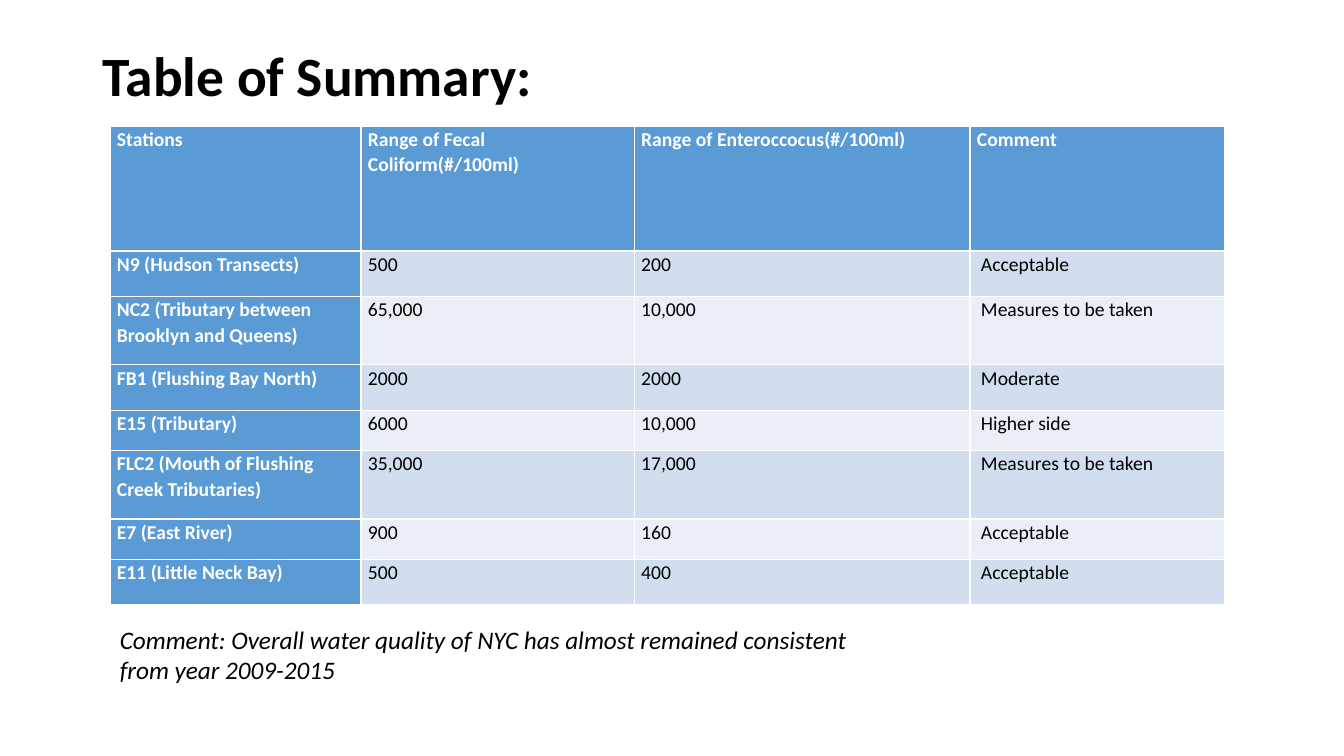
from pptx import Presentation
from pptx.dml.color import RGBColor
from pptx.enum.text import MSO_ANCHOR
from pptx.util import Inches, Pt

TOP, MIDDLE = MSO_ANCHOR.TOP, MSO_ANCHOR.MIDDLE
COLORS = {
    "text": "000000",
    "white": "FFFFFF",
    "header": "5B9BD5",
    "band_dark": "D2DEEF",
    "band_light": "EAEFF7",
}
COLUMN_WIDTHS = [2.49, 2.71, 3.33, 2.53]
ROW_HEIGHTS = [1.24, 0.45, 0.68, 0.45, 0.4, 0.68, 0.4, 0.45]
STATIONS = [
    ["Stations", "Range of Fecal Coliform(#/100ml)", "Range of Enteroccocus(#/100ml)", "Comment"],
    ["N9 (Hudson Transects)", "500", "200", "Acceptable"],
    ["NC2 (Tributary between Brooklyn and Queens)", "65,000", "10,000", "Measures to be taken"],
    ["FB1 (Flushing Bay North)", "2000", "2000", "Moderate"],
    ["E15 (Tributary)", "6000", "10,000", "Higher side"],
    ["FLC2 (Mouth of Flushing Creek Tributaries)", "35,000", "17,000", "Measures to be taken"],
    ["E7 (East River)", "900", "160", "Acceptable"],
    ["E11 (Little Neck Bay)", "500", "400", "Acceptable"],
]


def write(tf, text, size=14, color="text", bold=False, italic=False, spacing=None, font="Calibri"):
    p = tf.paragraphs[0]
    p.line_spacing = spacing
    r = p.add_run()
    r.text = text
    r.font.name = font
    r.font.size = Pt(size)
    r.font.bold = bold
    r.font.italic = italic
    r.font.color.rgb = RGBColor.from_string(COLORS[color])


class SlideBuilder:
    def __init__(self, s):
        self.s = s

    def text(self, text, left, top, width, height, anchor=TOP, **style):
        sp = self.s.shapes.add_textbox(Inches(left), Inches(top), Inches(width), Inches(height))
        tf = sp.text_frame
        tf.word_wrap = True
        tf.vertical_anchor = anchor
        write(tf, text, **style)

    def table(self, rows, left, top, widths, heights):
        frame = self.s.shapes.add_table(
            len(rows), len(widths), Inches(left), Inches(top),
            Inches(sum(widths)), Inches(sum(heights)))
        table = frame.table
        table.first_col = True
        for column, width in zip(table.columns, widths):
            column.width = Inches(width)
        for i, (row, height) in enumerate(zip(rows, heights)):
            table.rows[i].height = Inches(height)
            for j, text in enumerate(row):
                self.cell(table.cell(i, j), text, i, j)

    def cell(self, cell, text, i, j):
        heading = i == 0 or j == 0
        band = "band_dark" if i % 2 else "band_light"
        cell.fill.solid()
        cell.fill.fore_color.rgb = RGBColor.from_string(COLORS["header" if heading else band])
        cell.margin_left = Inches(0.11 if j == 3 and not heading else 0.07)
        cell.margin_right = Inches(0.07)
        cell.margin_top = cell.margin_bottom = 0
        write(cell.text_frame, text, color="white" if heading else "text", bold=heading, spacing=1.07)


def main():
    prs = Presentation()
    prs.slide_width, prs.slide_height = Inches(13.33), Inches(7.5)
    s = prs.slides.add_slide(prs.slide_layouts[6])
    builder = SlideBuilder(s)
    builder.text("Table of Summary:", 0.92, 0.4, 7.18, 0.75,
                 anchor=MIDDLE, size=39.6, bold=True, spacing=0.9)
    builder.table(STATIONS, 1.09, 1.25, COLUMN_WIDTHS, ROW_HEIGHTS)
    builder.text("Comment: Overall water quality of NYC has almost remained consistent from year 2009-2015",
                 1.09, 6.14, 7.83, 0.71, size=18, italic=True)
    prs.save("out.pptx")


if __name__ == "__main__":
    main()
